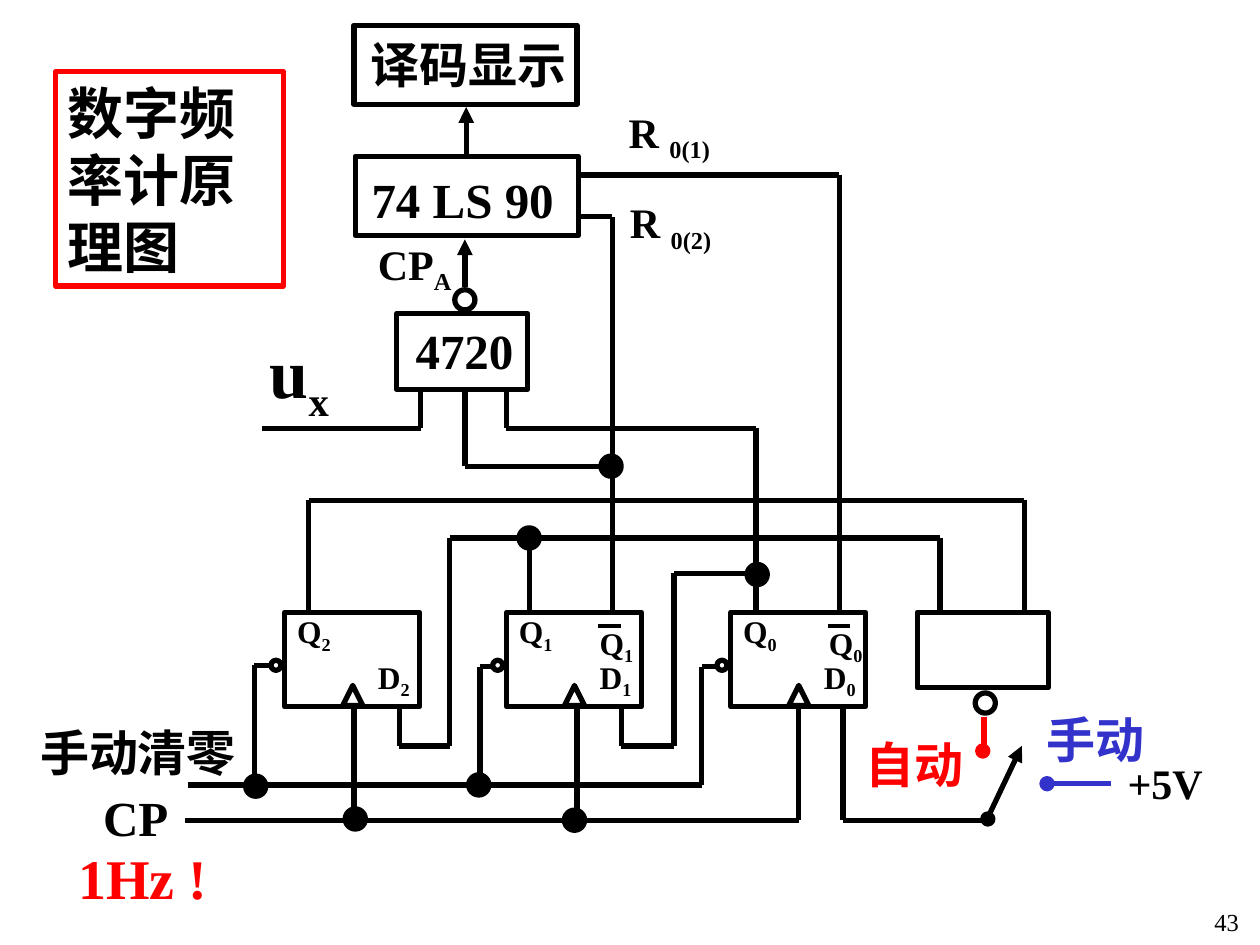
"""Build the schematic slide of a digital frequency meter."""
from lxml import etree
from pptx import Presentation
from pptx.dml.color import RGBColor
from pptx.enum.shapes import MSO_CONNECTOR, MSO_SHAPE
from pptx.enum.text import MSO_ANCHOR, PP_ALIGN
from pptx.oxml.ns import qn
from pptx.util import Inches, Pt

BLACK = RGBColor(0x00, 0x00, 0x00)
RED = RGBColor(0xFF, 0x00, 0x00)
BLUE = RGBColor(0x33, 0x33, 0xCC)
FONT = "Times New Roman"
RECT, OVAL, CLOCK_MARK = MSO_SHAPE.RECTANGLE, MSO_SHAPE.OVAL, MSO_SHAPE.FLOWCHART_EXTRACT
STRAIGHT = MSO_CONNECTOR.STRAIGHT
TOP, MIDDLE = MSO_ANCHOR.TOP, MSO_ANCHOR.MIDDLE
LEFT, CENTER, RIGHT = PP_ALIGN.LEFT, PP_ALIGN.CENTER, PP_ALIGN.RIGHT

BLOCKS = [
    (2.81, 0.2, 1.77, 0.63),
    (2.82, 1.24, 1.77, 0.63),
    (3.15, 2.49, 1.04, 0.6),
    (7.28, 4.86, 1.04, 0.6),
]
FLIP_FLOPS = [
    {"digit": "2", "left": 2.26, "inverse": None},
    {"digit": "1", "left": 4.02, "inverse": 0.64},
    {"digit": "0", "left": 5.8, "inverse": 0.68},
]
FLIP_TOP, FLIP_WIDTH, FLIP_HEIGHT = 4.86, 1.07, 0.75
BAR_LENGTH = 0.18
WIRES = [
    [(1.49, 6.23), (5.57, 6.23), (5.57, 5.29), (5.68, 5.29)],
    [(2.02, 6.25), (2.02, 5.28), (2.15, 5.28)],
    [(3.81, 6.25), (3.81, 5.29), (3.92, 5.29)],
    [(1.47, 6.51), (6.34, 6.51), (6.34, 5.61)],
    [(2.81, 5.62), (2.81, 6.52)],
    [(4.58, 5.62), (4.58, 6.52)],
    [(4.93, 5.61), (4.93, 5.92), (5.35, 5.92), (5.35, 4.55), (6, 4.55)],
    [(3.17, 5.61), (3.17, 5.92), (3.57, 5.92), (3.57, 4.27), (7.46, 4.27), (7.46, 4.86)],
    [(4.02, 3.08), (4.02, 3.4), (6, 3.4), (6, 4.85)],
    [(3.69, 3.08), (3.69, 3.7), (4.86, 3.7)],
    [(3.34, 3.08), (3.34, 3.4), (2.08, 3.4)],
    [(4.61, 1.39), (6.66, 1.39), (6.66, 4.85)],
    [(4.61, 1.72), (4.86, 1.72), (4.86, 4.85)],
    [(4.2, 4.27), (4.2, 4.88)],
    [(2.45, 4.88), (2.45, 3.97), (8.13, 3.97), (8.13, 4.86)],
    [(6.69, 5.61), (6.69, 6.51), (7.86, 6.51)],
]
ARROWS = [
    [(3.69, 2.28), (3.69, 1.9)],
    [(3.7, 1.23), (3.7, 0.85)],
    [(7.83, 6.51), (8.11, 5.92)],
]
SWITCH_LEADS = [
    ([(7.81, 5.69), (7.81, 5.95)], RED),
    ([(8.36, 6.22), (8.82, 6.22)], BLUE),
]
INVERTERS = [(3.69, 2.38), (7.82, 5.58)]
JUNCTIONS = [(4.85, 3.7), (6.01, 4.56), (4.2, 4.27), (3.8, 6.23),
             (2.03, 6.24), (4.56, 6.51), (2.82, 6.5)]
CONTACTS = [((7.8, 5.96), RED), ((8.31, 6.22), BLUE), ((7.84, 6.5), BLACK)]
LABELS = [
    ("译码显示", "", (2.84, 0.22, 2.02, 0.57), {"size": 28}),
    ("74 LS 90", "", (2.85, 1.29, 2.02, 0.57), {"size": 28}),
    ("4720", "", (3.2, 2.49, 1.17, 0.57), {"size": 28}),
    ("R ", "0(1)", (4.89, 0.79, 1.42, 0.56), {"size": 24}),
    ("R ", "0(2)", (4.9, 1.51, 1.39, 0.56), {"size": 24}),
    ("CP", "A", (2.9, 1.84, 1.07, 0.56), {"size": 24}),
    ("u", "x", (1.68, 2.56, 1.39, 0.86), {"size": 40, "align": CENTER}),
    ("手动清零", "", (0.22, 5.68, 1.99, 0.57), {"size": 28}),
    ("CP", "", (0.72, 6.2, 0.82, 0.57), {"size": 28}),
    ("自动", "", (6.77, 5.78, 1.28, 0.57), {"size": 28, "color": RED}),
    ("手动", "", (8.21, 5.58, 1.11, 0.57), {"size": 28, "color": BLUE}),
    ("+5V", "", (8.85, 5.96, 0.85, 0.5), {"size": 24}),
    ("1Hz !", "", (0.21, 6.64, 1.85, 0.64), {"size": 32, "color": RED, "align": CENTER}),
    ("43", "", (7.85, 7.15, 2.08, 0.5),
     {"size": 14, "bold": False, "align": RIGHT, "anchor": TOP}),
]
TITLE = "数字频率计原理图"
TITLE_PLACE = (0.44, 0.57, 1.81, 1.7)


def write(holder, text, subscript="", *, size, color=BLACK, bold=True, align=LEFT, anchor=MIDDLE):
    frame = holder.text_frame
    frame.word_wrap = True
    frame.vertical_anchor = anchor
    paragraph = frame.paragraphs[0]
    paragraph.alignment = align
    for part, baseline in ((text, None), (subscript, "-25000")):
        if not part:
            continue
        run = paragraph.add_run()
        run.text = part
        run.font.name, run.font.size, run.font.bold = FONT, Pt(size), bold
        run.font.color.rgb = color
        if baseline:
            run.font._element.set("baseline", baseline)


def add_label(slide, text, subscript, place, **style):
    write(slide.shapes.add_textbox(*map(Inches, place)), text, subscript, **style)


def add_outline(slide, kind, place, color=BLACK, filled=False):
    shape = slide.shapes.add_shape(kind, *map(Inches, place))
    shape.shadow.inherit = False
    if filled:
        shape.fill.solid()
        shape.fill.fore_color.rgb = color
    else:
        shape.fill.background()
    shape.line.color.rgb = color
    shape.line.width = Pt(3)
    return shape


def add_circle(slide, center, diameter, color=BLACK, filled=False):
    x, y = center
    place = (x - diameter / 2, y - diameter / 2, diameter, diameter)
    add_outline(slide, OVAL, place, color, filled)


def add_wire(slide, points, color=BLACK, width=3, arrow=False):
    for start, end in zip(points, points[1:]):
        wire = slide.shapes.add_connector(STRAIGHT, *map(Inches, start + end))
        wire.line.color.rgb = color
        wire.line.width = Pt(width)
        if arrow:
            etree.SubElement(wire.line._get_or_add_ln(), qn("a:tailEnd"), type="triangle")
        etree.SubElement(wire._element.spPr, qn("a:effectLst"))


def add_flip_flop(slide, digit, left, inverse):
    pin = {"size": 18, "anchor": TOP}
    add_outline(slide, RECT, (left, FLIP_TOP, FLIP_WIDTH, FLIP_HEIGHT))
    add_outline(slide, CLOCK_MARK, (left + 0.46, 5.44, 0.16, 0.16))
    add_circle(slide, (left - 0.07, 5.28), 0.08)
    add_label(slide, "Q", digit, (left, 4.81, 0.65, 0.44), **pin)
    add_label(slide, "D", digit, (left + 0.64, 5.17, 0.65, 0.44), **pin)
    if inverse:
        add_label(slide, "Q", digit, (left + inverse, 4.9, 0.65, 0.44), **pin)
        bar_left = left + inverse + 0.09
        add_wire(slide, [(bar_left, 4.97), (bar_left + BAR_LENGTH, 4.97)], width=2.25)


def main():
    deck = Presentation()
    deck.slide_width, deck.slide_height = Inches(10), Inches(7.5)
    slide = deck.slides.add_slide(deck.slide_layouts[6])
    for block in BLOCKS:
        add_outline(slide, RECT, block)
    for flip_flop in FLIP_FLOPS:
        add_flip_flop(slide, **flip_flop)
    for points in WIRES:
        add_wire(slide, points)
    for points in ARROWS:
        add_wire(slide, points, arrow=True)
    for points, color in SWITCH_LEADS:
        add_wire(slide, points, color)
    for center in INVERTERS:
        add_circle(slide, center, 0.16)
    for center in JUNCTIONS:
        add_circle(slide, center, 0.16, filled=True)
    for center, color in CONTACTS:
        add_circle(slide, center, 0.08, color, filled=True)
    for text, subscript, place, style in LABELS:
        add_label(slide, text, subscript, place, **style)
    write(add_outline(slide, RECT, TITLE_PLACE, RED), TITLE, size=32)
    deck.save("out.pptx")


if __name__ == "__main__":
    main()
